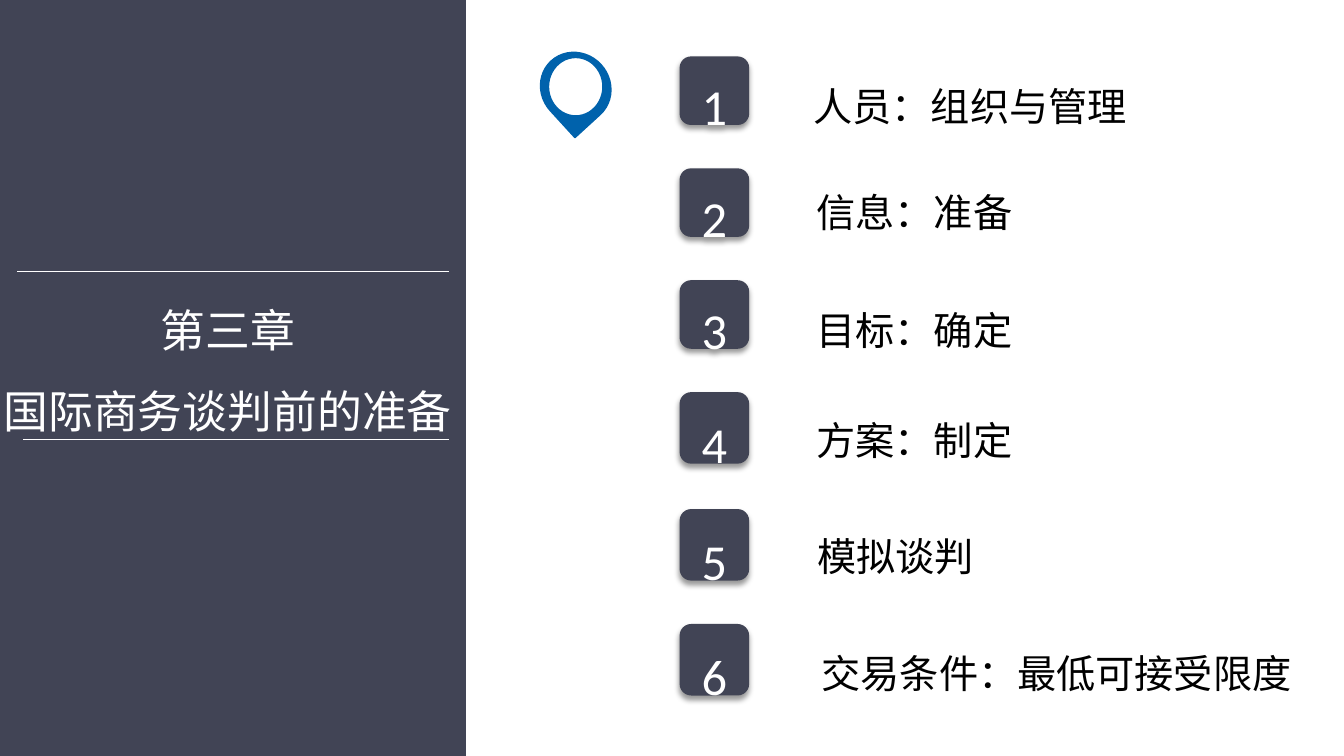
from dataclasses import dataclass

from lxml import etree
from pptx import Presentation
from pptx.dml.color import RGBColor
from pptx.enum.shapes import MSO_CONNECTOR, MSO_SHAPE
from pptx.enum.text import MSO_ANCHOR, MSO_AUTO_SIZE, PP_ALIGN
from pptx.oxml import parse_xml
from pptx.oxml.ns import qn
from pptx.util import Inches, Pt

RECTANGLE = MSO_SHAPE.RECTANGLE
ROUNDED = MSO_SHAPE.ROUNDED_RECTANGLE
TEARDROP = MSO_SHAPE.TEAR
OVAL = MSO_SHAPE.OVAL
STRAIGHT = MSO_CONNECTOR.STRAIGHT
TOP, MIDDLE = MSO_ANCHOR.TOP, MSO_ANCHOR.MIDDLE
LEFT, CENTER = PP_ALIGN.LEFT, PP_ALIGN.CENTER
NO_FIT, GROW = MSO_AUTO_SIZE.NONE, MSO_AUTO_SIZE.SHAPE_TO_FIT_TEXT


@dataclass(frozen=True)
class Theme:
    slate: RGBColor = RGBColor(0x41, 0x44, 0x55)
    blue: RGBColor = RGBColor(0x00, 0x62, 0xAC)
    white: RGBColor = RGBColor(0xFF, 0xFF, 0xFF)
    black: RGBColor = RGBColor(0, 0, 0)
    chapter_size: int = 32
    topic_size: int = 28
    number_size: int = 36
    chapter_font: str = "Times New Roman"
    number_font: str = "Calibri"
    chinese_font: str = "Noto Sans CJK SC"
    line_spacing: float = 1.5


@dataclass(frozen=True)
class Topic:
    text: str
    badge_top: float
    badge_height: float
    left: float
    top: float
    width: float


THEME = Theme()
CHAPTER = "第三章\n国际商务谈判前的准备"
TOPICS = [
    Topic("人员：组织与管理", 0.56, 0.68, 7.97, 0.53, 3.34),
    Topic("信息：准备", 1.67, 0.68, 8, 1.59, 2.17),
    Topic("目标：确定", 2.78, 0.68, 8, 2.76, 2.17),
    Topic("方案：制定", 3.89, 0.71, 8, 3.85, 2.17),
    Topic("模拟谈判", 5.05, 0.71, 8.01, 5, 1.77),
    Topic("交易条件：最低可接受限度", 6.19, 0.71, 8.05, 6.16, 4.91),
]
BADGE_SHADOW = (
    '<a:effectLst xmlns:a="http://schemas.openxmlformats.org/drawingml/2006/main">'
    '<a:outerShdw blurRad="50800" dist="38100" dir="5400000" algn="t" rotWithShape="0">'
    '<a:srgbClr val="000000"><a:alpha val="40000"/></a:srgbClr>'
    "</a:outerShdw></a:effectLst>"
)


def place(item, left: float, top: float, width: float, height: float) -> None:
    item.left, item.top = Inches(left), Inches(top)
    item.width, item.height = Inches(width), Inches(height)


def write(frame, text: str, font: str, size: int, color: RGBColor, align) -> None:
    frame.text = text
    for paragraph in frame.paragraphs:
        paragraph.alignment = align
        paragraph.line_spacing = THEME.line_spacing
        paragraph.space_before = Pt(0)
        for run in paragraph.runs:
            run.font.name = font
            run.font.size = Pt(size)
            run.font.color.rgb = color
            east_asian = etree.SubElement(run.font._element, qn("a:ea"))
            east_asian.set("typeface", THEME.chinese_font)


def add_filled(shapes, kind, box: tuple, fill: RGBColor, outline: RGBColor | None = None):
    filled = shapes.add_shape(kind, *map(Inches, box))
    filled.shadow.inherit = False
    filled.fill.solid()
    filled.fill.fore_color.rgb = fill
    if outline is None:
        filled.line.fill.background()
    else:
        filled.line.color.rgb = outline
        filled.line.width = Pt(1)
    return filled


def add_chapter(slide) -> None:
    add_filled(slide.shapes, RECTANGLE, (0, 0, 4.62, 7.5), THEME.slate)
    chapter = slide.shapes.title
    chapter.element.getparent().append(chapter.element)
    place(chapter, -0.1, 2.69, 4.72, 1.61)
    frame = chapter.text_frame
    frame.word_wrap = True
    frame.auto_size = NO_FIT
    frame.vertical_anchor = TOP
    write(frame, CHAPTER, THEME.chapter_font, THEME.chapter_size, THEME.white, CENTER)
    for left, height in ((0.17, 2.69), (0.23, 4.36)):
        add_rule(slide.shapes, left, 4.45, height)


def add_rule(shapes, left: float, right: float, height: float) -> None:
    rule = shapes.add_connector(
        STRAIGHT, Inches(left), Inches(height), Inches(right), Inches(height)
    )
    rule.line.color.rgb = THEME.white
    rule.line.width = Pt(0.5)
    etree.SubElement(rule.element.spPr, qn("a:effectLst"))


def add_pin(shapes) -> None:
    pin = shapes.add_group_shape()
    drop = add_filled(pin.shapes, TEARDROP, (5.37, 0.51, 0.68, 0.72), THEME.blue, THEME.blue)
    drop.rotation = 137.5
    add_filled(pin.shapes, OVAL, (5.44, 0.57, 0.54, 0.58), THEME.white, THEME.blue)


def add_topic(shapes, number: int, topic: Topic) -> None:
    box = (6.74, topic.badge_top, 0.69, topic.badge_height)
    badge = add_filled(shapes, ROUNDED, box, THEME.slate)
    properties = badge.element.spPr
    properties.replace(properties.find(qn("a:effectLst")), parse_xml(BADGE_SHADOW))
    badge.text_frame.vertical_anchor = MIDDLE
    write(badge.text_frame, str(number), THEME.number_font, THEME.number_size,
          THEME.white, CENTER)

    label = shapes.add_textbox(
        Inches(topic.left), Inches(topic.top), Inches(topic.width), Inches(0.81)
    )
    label.text_frame.word_wrap = False
    label.text_frame.auto_size = GROW
    write(label.text_frame, topic.text, THEME.chinese_font, THEME.topic_size,
          THEME.black, LEFT)


def main() -> None:
    deck = Presentation()
    deck.slide_width, deck.slide_height = Inches(13.33), Inches(7.5)
    slide = deck.slides.add_slide(deck.slide_layouts[5])
    add_chapter(slide)
    add_pin(slide.shapes)
    for number, topic in enumerate(TOPICS, start=1):
        add_topic(slide.shapes, number, topic)
    deck.save("out.pptx")


if __name__ == "__main__":
    main()
